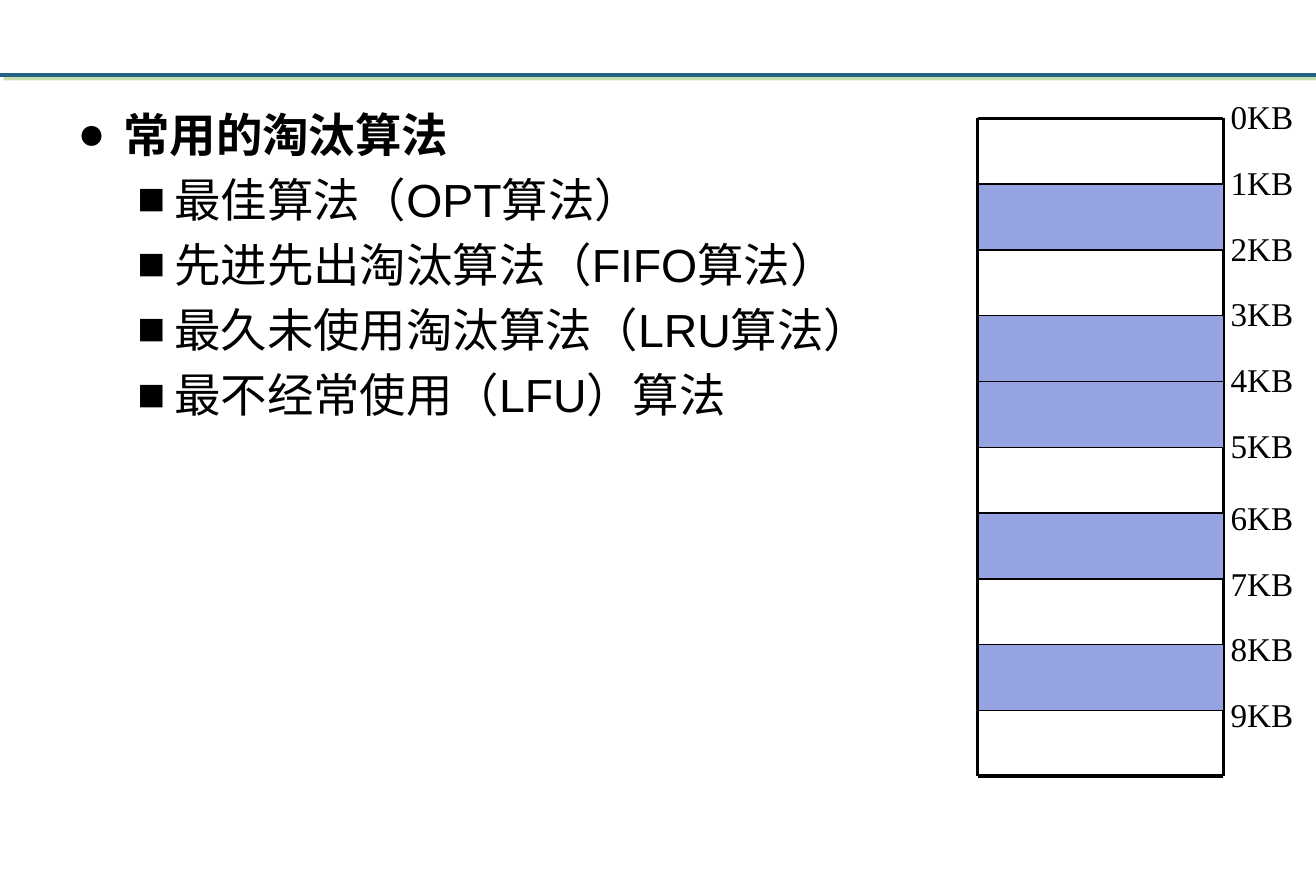
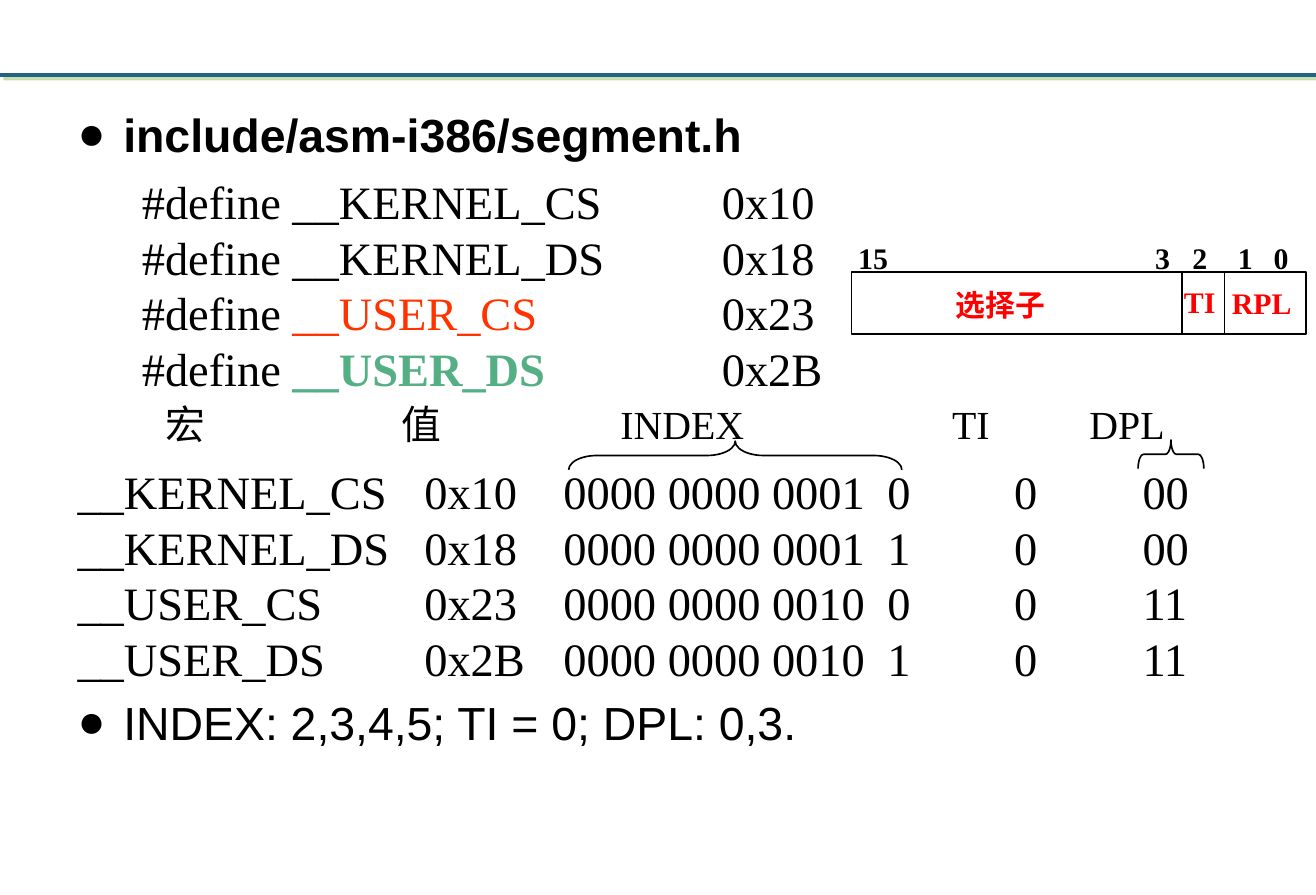
"""Two slides on page replacement algorithms and kernel segment selectors."""
from lxml.etree import SubElement
from pptx import Presentation
from pptx.dml.color import RGBColor
from pptx.enum.shapes import MSO_CONNECTOR as LINE, MSO_SHAPE as SHAPE
from pptx.enum.text import MSO_ANCHOR as ANCHOR, MSO_AUTO_SIZE as FIT, PP_ALIGN as ALIGN
from pptx.oxml.ns import qn
from pptx.util import Cm, Pt

BLACK = RGBColor(0x00, 0x00, 0x00)
RED = RGBColor(0xFF, 0x00, 0x00)
ORANGE = RGBColor(0xFF, 0x33, 0x00)
GREEN = RGBColor(0x55, 0xAF, 0x84)
TEAL = RGBColor(0x23, 0x64, 0x85)
PERIWINKLE = RGBColor(0x95, 0xA3, 0xE1)
SANS, SERIF = "Arial", "Times New Roman"

BULLETS = [("●", 0.97, -0.97), ("■", 2.06, -0.79)]
ALGORITHMS = [
    (0, "常用的淘汰算法", True),
    (1, "最佳算法（OPT算法）", False),
    (1, "先进先出淘汰算法（FIFO算法）", False),
    (1, "最久未使用淘汰算法（LRU算法）", False),
    (1, "最不经常使用（LFU）算法", False),
]
SEGMENTS = [
    (0, "include/asm-i386/segment.h", True),
    (0, "INDEX: 2,3,4,5; TI = 0; DPL: 0,3.", False),
]
PAGES, USED_PAGES = 10, (1, 3, 4, 6, 8)
MEMORY = dict(left=20.8, top=2.52, width=5.23, pitch=1.4)

MACROS = [
    ("__KERNEL_CS", "0x10", BLACK, False),
    ("__KERNEL_DS", "0x18", BLACK, False),
    ("__USER_CS", "0x23", ORANGE, False),
    ("__USER_DS", "0x2B", GREEN, True),
]
HEADINGS = ["宏", "值", "INDEX", "TI", "DPL"]
SELECTORS = [
    ("__KERNEL_CS", "0x10", "0000 0000 0001", "0", "0", "00"),
    ("__KERNEL_DS", "0x18", "0000 0000 0001", "1", "0", "00"),
    ("__USER_CS", "0x23", "0000 0000 0010", "0", "0", "11"),
    ("__USER_DS", "0x2B", "0000 0000 0010", "1", "0", "11"),
]
MACRO_TABS = [12.34]
HEADING_TABS = [5.02, 9.68, 16.74, 19.66]
SELECTOR_TABS = [7.38, 10.34, 17.23, 19.93, 22.66]
BRACES = [(15.34, 6.15, 0.61, 7.09, 0.986), (24.61, 8.97, 0.61, 1.4, 0.195)]
REGISTER = (18.11, 5.79, 9.68, 1.32)
DIVIDERS = (25.15, 26.06)
REGISTER_LABELS = [
    ("15", 18.01, 4.98, 1.14, BLACK),
    ("3", 24.33, 4.98, 0.84, BLACK),
    ("2", 25.12, 4.98, 0.84, BLACK),
    ("1", 26.09, 4.98, 0.84, BLACK),
    ("0", 26.85, 4.98, 0.84, BLACK),
    ("TI", 24.94, 5.92, 1.19, RED),
    ("RPL", 25.96, 5.94, 1.8, RED),
    ("选择子", 20.09, 5.97, 2.44, RED),
]


def style(font, color=BLACK, **values):
    for name, value in values.items():
        setattr(font, name, value)
    font.color.rgb = color


def add_run(p, text, size, color=BLACK, bold=False, name=SERIF):
    r = p.add_run()
    r.text = text
    style(r.font, color, size=Pt(size), bold=bold, name=name)


def add_line(slide, x1, y1, x2, y2, width, color=BLACK):
    line = slide.shapes.add_connector(LINE.STRAIGHT, Cm(x1), Cm(y1), Cm(x2), Cm(y2))
    line.line.width = Pt(width)
    line.line.color.rgb = color
    SubElement(line._element.spPr, qn("a:effectLst"))
    return line


def add_outline(slide, kind, box, width, fill=None):
    sp = slide.shapes.add_shape(kind, *map(Cm, box))
    sp.shadow.inherit = False
    sp.line.width = Pt(width)
    sp.line.color.rgb = BLACK
    if fill is None:
        sp.fill.background()
    else:
        sp.fill.solid()
        sp.fill.fore_color.rgb = fill
    return sp


def add_box(slide, box, **values):
    tf = slide.shapes.add_textbox(*map(Cm, box)).text_frame
    for name, value in {"word_wrap": True, **values}.items():
        setattr(tf, name, value)
    return tf


def add_tabbed(slide, box, rows, tabs, size, pitch):
    tf = add_box(slide, box, vertical_anchor=ANCHOR.MIDDLE)
    for i, row in enumerate(rows):
        p = tf.add_paragraph() if i else tf.paragraphs[0]
        p.line_spacing = Pt(pitch)
        tab_list = SubElement(p._p.get_or_add_pPr(), qn("a:tabLst"))
        for pos in tabs:
            SubElement(tab_list, qn("a:tab"), pos=str(Cm(pos)), algn="l")
        for text, color, bold in row:
            add_run(p, text, size, color, bold)


def add_slide(prs, items, height):
    slide = prs.slides.add_slide(prs.slide_layouts[1])
    title = slide.shapes.title._element
    title.getparent().remove(title)
    body = slide.placeholders[1]
    body.left, body.top, body.width, body.height = map(Cm, (1.4, 2.13, 25.2, height))
    tf = body.text_frame
    for i, (level, text, bold) in enumerate(items):
        p = tf.add_paragraph() if i else tf.paragraphs[0]
        p.level = level
        if not i:
            p.space_before = Pt(0)
        char, margin, indent = BULLETS[level]
        pPr = p._p.get_or_add_pPr()
        pPr.set("marL", str(Cm(margin)))
        pPr.set("indent", str(Cm(indent)))
        SubElement(pPr, qn("a:buChar"), char=char)
        add_run(p, text, 28, bold=bold, name=SANS)
    return slide


def add_master_rule(prs, slide):
    rule = add_line(slide, 0, 1.6, 28, 1.6, 2.25, TEAL)._element
    shadow = SubElement(rule.spPr.find(qn("a:effectLst")), qn("a:outerShdw"),
                        dist=str(Pt(2.8)), dir="2700000", algn="ctr", rotWithShape="0")
    color = SubElement(shadow, qn("a:srgbClr"), val="90C060")
    SubElement(color, qn("a:alpha"), val="50000")
    rule.nvCxnSpPr.cNvPr.id = 99
    prs.slide_master.shapes._spTree.append(rule)


def draw_memory(slide):
    left, top, width, pitch = MEMORY.values()
    right, bottom = left + width, top + PAGES * pitch
    for i in range(PAGES + 1):
        y = top + i * pitch
        add_line(slide, left, y, right, y, 2.25 if i in (0, PAGES) else 1)
    for x in (left, right):
        add_line(slide, x, top, x, bottom, 2.25)
    for i in range(PAGES):
        nudge = 0.13 if i > 5 else 0
        tf = add_box(slide, (25.85, top - 0.59 + i * pitch + nudge, 2, 1.09))
        tf.paragraphs[0].alignment = ALIGN.CENTER
        add_run(tf.paragraphs[0], f"{i}KB", 20)
    for i in USED_PAGES:
        add_outline(slide, SHAPE.RECTANGLE, (left + 0.02, top + i * pitch, 5.21, pitch),
                    0.75, PERIWINKLE)


def draw_selectors(slide):
    macros = [[("#define ", BLACK, False), (name, color, bold), (f"\t{value}", BLACK, False)]
              for name, value, color, bold in MACROS]
    add_tabbed(slide, (2.77, 3.53, 15.34, 5.05), macros, MACRO_TABS, 28, 33.5)
    rows = [[("\t".join(row), BLACK, False)] for row in SELECTORS]
    add_tabbed(slide, (1.4, 9.73, 25.8, 5), rows, SELECTOR_TABS, 28, 33.5)
    headings = [[("\t".join(HEADINGS), BLACK, False)]]
    add_tabbed(slide, (3.27, 8.38, 23.1, 1.27), headings, HEADING_TABS, 24, 29)
    for *box, curve in BRACES:
        brace = add_outline(slide, SHAPE.RIGHT_BRACE, box, 1)
        brace.rotation = 270
        brace.adjustments[0] = curve


def draw_register(slide):
    top, height = REGISTER[1], REGISTER[3]
    add_outline(slide, SHAPE.RECTANGLE, REGISTER, 0.75)
    for x in DIVIDERS:
        add_line(slide, x, top, x, top + height, 0.75)
    for text, x, y, width, color in REGISTER_LABELS:
        tf = add_box(slide, (x, y, width, 1.02), word_wrap=False,
                     auto_size=FIT.SHAPE_TO_FIT_TEXT)
        add_run(tf.paragraphs[0], text, 18, color, True)


def main():
    prs = Presentation()
    prs.slide_width, prs.slide_height = Cm(28), Cm(19.05)
    slide = add_slide(prs, ALGORITHMS, 14.88)
    add_master_rule(prs, slide)
    draw_memory(slide)
    slide = add_slide(prs, SEGMENTS, 16)
    slide.placeholders[1].text_frame.paragraphs[1].space_before = Pt(321)
    draw_selectors(slide)
    draw_register(slide)
    prs.save("out.pptx")


if __name__ == "__main__":
    main()
